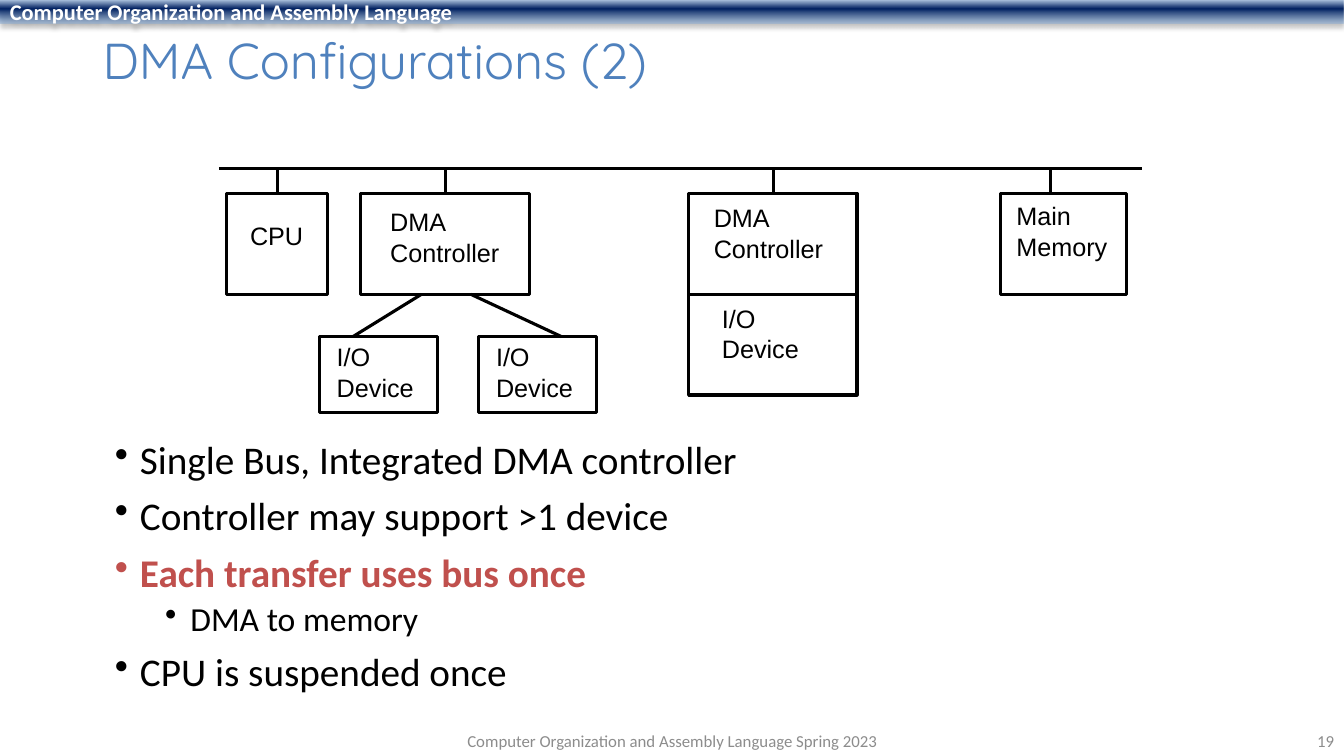
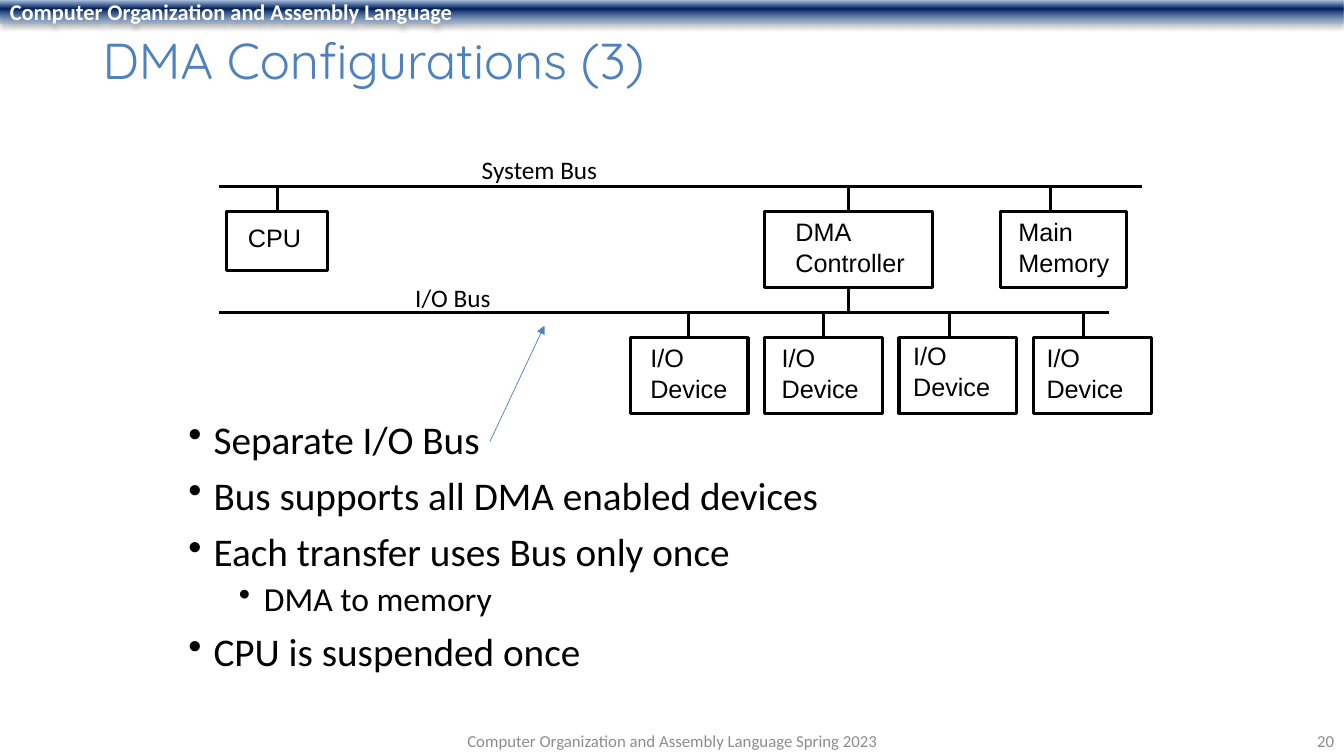
from lxml import etree
from pptx import Presentation
from pptx import util as u
from pptx.dml.color import RGBColor
from pptx.enum import shapes, text
from pptx.oxml import parse_xml
from pptx.oxml.ns import nsdecls, qn

BLACK, WHITE, BLUE, RED, GREY = "000000", "FFFFFF", "4F81BD", "C0504D", "8C8C8C"
COURSE = "Computer Organization and Assembly Language"
BAND_STOPS = [(2, "B0C6E1", 100), (38, "002060", 100), (93, "86A8D1", 64)]
LEFT, CENTER, RIGHT = text.PP_ALIGN.LEFT, text.PP_ALIGN.CENTER, text.PP_ALIGN.RIGHT
TOP, MIDDLE = text.MSO_ANCHOR.TOP, text.MSO_ANCHOR.MIDDLE

BAND_FONT = dict(name="Calibri", size=u.Pt(16), bold=True)
TITLE_FONT = dict(name="Quicksand", size=u.Pt(36))
BOX_FONT = dict(name="Arial", size=u.Pt(18))
BUS_FONT = dict(name="Calibri", size=u.Pt(18))
FOOTER_FONT = dict(name="Calibri", size=u.Pt(12))

BOX_LINE = 2.25
STUB = 0.25
DEVICE = "I/O\nDevice"
DEVICE_W, DEVICE_H = 1.17, 0.75
BUS_X1, BUS_X2 = 2.17, 11.33


def rgb(value):
    return RGBColor.from_string(value)


def set_attrs(obj, values):
    for name, value in values.items():
        setattr(obj, name, value)


def inches(values):
    return [u.Inches(v) for v in values]


def write(sp, content, font, color, align=LEFT, anchor=MIDDLE):
    """Fill a shape with text, one paragraph per line of content."""
    tf = sp.text_frame
    tf.text = content
    set_attrs(tf, dict(word_wrap=True, vertical_anchor=anchor))
    for p in tf.paragraphs:
        p.alignment = align
        set_attrs(p.font, font)
        p.font.color.rgb = rgb(color)
    return tf


def label(slide, at, content, font, color, **layout):
    return write(slide.shapes.add_textbox(*inches(at)), content, font, color, **layout)


def rect(slide, at):
    sp = slide.shapes.add_shape(shapes.MSO_SHAPE.RECTANGLE, *inches(at))
    sp.shadow.inherit = False
    return sp


def line(slide, x1, y1, x2, y2, color=BLACK, width=BOX_LINE, arrow=False):
    cx = slide.shapes.add_connector(shapes.MSO_CONNECTOR.STRAIGHT, *inches((x1, y1, x2, y2)))
    cx.line.color.rgb = rgb(color)
    cx.line.width = u.Pt(width)
    if arrow:
        etree.SubElement(cx.line._get_or_add_ln(), qn("a:tailEnd"), type="triangle")
    etree.SubElement(cx._element.spPr, qn("a:effectLst"))


def box(slide, at, content, inset, stub_x=None):
    """Outlined box with text at an inset; stub_x joins its top to the bus above."""
    x, y = at[:2]
    sp = rect(slide, at)
    sp.fill.background()
    sp.line.color.rgb = rgb(BLACK)
    sp.line.width = u.Pt(BOX_LINE)
    tf = write(sp, content, BOX_FONT, BLACK, anchor=TOP)
    dx, dy = inset
    set_attrs(tf, dict(margin_left=u.Inches(dx), margin_top=u.Inches(dy),
                       margin_right=0, margin_bottom=0))
    if stub_x is not None:
        line(slide, stub_x, y, stub_x, y - STUB)


def bullets(slide, at, items):
    """Bulleted list of (text, level, highlighted) items."""
    tf = slide.shapes.add_textbox(*inches(at)).text_frame
    tf.word_wrap = True
    for i, (content, level, highlighted) in enumerate(items):
        p = tf.paragraphs[0] if i == 0 else tf.add_paragraph()
        p.text = content
        set_attrs(p, dict(level=level, line_spacing=0.9, space_before=u.Pt(5 if level else 10)))
        set_attrs(p.font, dict(name="Calibri", size=u.Pt(24 if level else 28), bold=highlighted))
        color = RED if highlighted else BLACK
        p.font.color.rgb = rgb(color)
        # The bullet takes the colour of the first run
        p.runs[0].font.color.rgb = rgb(color)
        ppr = p._p.get_or_add_pPr()
        ppr.set("marL", str(u.Inches(0.25 + 0.5 * level)))
        ppr.set("indent", str(u.Inches(-0.25)))
        bullet = parse_xml(f'<a:buChar {nsdecls("a")} char="•"/>')
        ppr.insert_element_before(bullet, "a:tabLst", "a:defRPr", "a:extLst")


def band(slide):
    """Course band across the top, with gradient and soft shadow."""
    sp = rect(slide, (0, 0, 13.33, 0.23))
    stops = "".join(
        f'<a:gs pos="{pos * 1000}"><a:srgbClr val="{color}">'
        f'<a:alpha val="{alpha * 1000}"/></a:srgbClr></a:gs>'
        for pos, color, alpha in BAND_STOPS)
    spPr = sp._element.spPr
    spPr.find(qn("a:prstGeom")).addnext(parse_xml(
        f'<a:gradFill {nsdecls("a")} rotWithShape="1"><a:gsLst>{stops}</a:gsLst>'
        '<a:lin ang="5400000" scaled="0"/></a:gradFill>'))
    sp.line.fill.background()
    spPr.find(qn("a:effectLst")).append(parse_xml(
        f'<a:outerShdw {nsdecls("a")} blurRad="{u.Pt(3.5)}" dist="{u.Pt(2.2)}" dir="5400000" '
        f'rotWithShape="0"><a:srgbClr val="{BLACK}"><a:alpha val="32000"/></a:srgbClr>'
        '</a:outerShdw>'))
    write(sp, COURSE, BAND_FONT, WHITE)


def new_slide(prs, title, number):
    slide = prs.slides.add_slide(prs.slide_layouts[6])
    band(slide)
    tf = label(slide, (0.92, 0.25, 11.5, 0.75), title, TITLE_FONT, BLUE)
    tf.paragraphs[0].line_spacing = 0.9
    label(slide, (4.42, 7.19, 4.5, 0.31), f"{COURSE} Spring 2023", FOOTER_FONT, GREY, align=CENTER)
    label(slide, (10.33, 7.19, 3, 0.31), str(number), FOOTER_FONT, GREY, align=RIGHT)
    return slide


def single_bus_slide(prs):
    slide = new_slide(prs, "DMA Configurations (2)", 19)
    bullets(slide, (1.04, 4.32, 8.94, 3.25), [
        ("Single Bus, Integrated DMA controller", 0, False),
        ("Controller may support >1 device", 0, False),
        ("Each transfer uses bus once", 0, True),
        ("DMA to memory", 1, False),
        ("CPU is suspended once", 0, False),
    ])
    top, height = 1.92, 1
    bottom, device_y = top + height, 3.34
    line(slide, BUS_X1, top - STUB, BUS_X2, top - STUB)
    box(slide, (2.25, top, 1, height), "CPU", (0.23, 0.27), 2.75)
    box(slide, (3.58, top, 1.67, height), "DMA\nController", (0.29, 0.13), 4.42)
    box(slide, (6.83, top, 1.67, height), "DMA\nController", (0.25, 0.09), 7.67)
    box(slide, (6.83, bottom, 1.67, height), DEVICE, (0.33, 0.09))
    box(slide, (9.92, top, 1.25, height), "Main\nMemory", (0.16, 0.07), 10.42)
    for x, device_end, controller_end in [(3.17, 3.5, 4.18), (4.75, 5.57, 4.67)]:
        box(slide, (x, device_y, DEVICE_W, DEVICE_H), DEVICE, (0.17, 0.05))
        line(slide, device_end, device_y, controller_end, bottom)


def separate_bus_slide(prs):
    slide = new_slide(prs, "DMA Configurations (3)", 20)
    bullets(slide, (1.77, 4.12, 8.94, 2.9), [
        ("Separate I/O Bus", 0, False),
        ("Bus supports all DMA enabled devices", 0, False),
        ("Each transfer uses Bus only once", 0, False),
        ("DMA to memory", 1, False),
        ("CPU is suspended once", 0, False),
    ])
    top, height, device_y = 2.1, 0.75, 3.35
    io_bus_y = device_y - STUB
    line(slide, BUS_X1, top - STUB, BUS_X2, top - STUB)
    line(slide, BUS_X1, io_bus_y, 11, io_bus_y)
    box(slide, (2.25, top, 1, 0.58), "CPU", (0.21, 0.11), 2.75)
    box(slide, (7.58, top, 1.67, height), "DMA\nController", (0.31, 0.05), 8.42)
    box(slide, (9.92, top, 1.25, height), "Main\nMemory", (0.18, 0.05), 10.42)
    line(slide, 8.42, top + height, 8.42, io_bus_y)
    devices = [(6.83, 0.2, 0.05), (8.17, 0.17, 0.05), (9.42, 0.14, 0.03), (10.75, 0.13, 0.05)]
    for i, (stub_x, dx, dy) in enumerate(devices):
        x = 6.25 + i * 4 / 3
        box(slide, (x, device_y, DEVICE_W, DEVICE_H), DEVICE, (dx, dy), stub_x)
    line(slide, 4.86, 4.38, 5.4, 3.23, color=BLUE, width=0.5, arrow=True)
    label(slide, (4.02, 2.75, 1.2, 0.4), "I/O Bus", BUS_FONT, BLACK, anchor=TOP)
    label(slide, (4.68, 1.48, 1.5, 0.4), "System Bus", BUS_FONT, BLACK, anchor=TOP)


def main():
    prs = Presentation()
    prs.slide_width, prs.slide_height = inches((13.33, 7.5))
    single_bus_slide(prs)
    separate_bus_slide(prs)
    prs.save("out.pptx")


if __name__ == "__main__":
    main()
